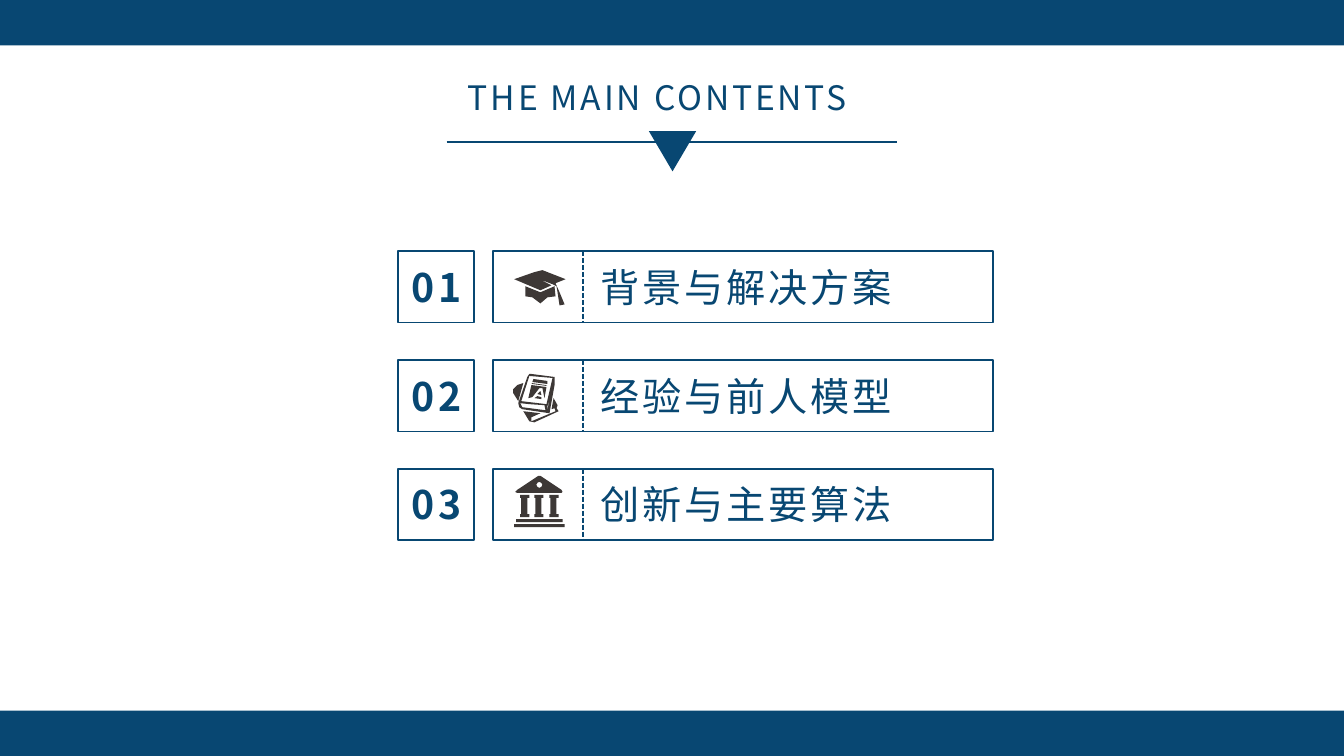
import pptx
import pptx.dml.color
import pptx.enum.dml
import pptx.enum.shapes
import pptx.enum.text
import pptx.oxml
import pptx.oxml.ns
import pptx.util

Inches = pptx.util.Inches
Shape = pptx.enum.shapes.MSO_SHAPE
Align = pptx.enum.text.PP_ALIGN

NAVY = pptx.dml.color.RGBColor(0x08, 0x47, 0x72)
CHARCOAL = pptx.dml.color.RGBColor(0x3D, 0x38, 0x36)
NOTO = "Noto Sans CJK SC"
WIDTH, HEIGHT = 13.33, 7.5
BAND = 0.06 * HEIGHT

# Rows of the agenda
ROW_LEFT, ROW_TOP, ROW_WIDTH, ROW_HEIGHT, ROW_PITCH = 3.95, 2.49, 5.9, 0.71, 1.08


# Icon outlines, in hundredths of an inch from the icon's corner
def rectangle(left, top, right, bottom):
    return [(left, top), (right, top), (right, bottom), (left, bottom)]


def column(left):
    """An I-shaped pillar with a capital and a base."""
    right = left + 9
    return [(left, 26), (right, 26), (right, 29), (right - 2, 29),
            (right - 2, 45), (right, 45), (right, 48), (left, 48),
            (left, 45), (left + 1, 45), (left + 1, 29), (left, 29)]


GRADUATION_CAP = [
    [(20, 21), (28, 19), (51, 28), (41, 32), (45, 41), (50, 53), (45, 54),
     (43, 41), (42, 35), (38, 33), (25, 28), (37, 34), (26, 39), (0, 28)],
    [(11, 35), (11, 45), (18, 46), (26, 52), (33, 46), (41, 45), (40, 35),
     (26, 41)],
]
BOOKS = [
    # Front book, its cover and page edges
    [(13, 17), (15, 14), (17, 14), (40, 17), (40, 25), (35, 53), (8, 49),
     (5, 47), (4, 43)],
    [(15, 16), (7, 41), (32, 44), (38, 18)],
    [(6, 43), (8, 47), (31, 50), (30, 45), (15, 44)],
    [(35, 38), (33, 46), (33, 50)],
    # Title lines and letter panel
    [(19, 19), (18, 22), (33, 24), (33, 21)],
    [(17, 23), (18, 24), (33, 26), (31, 25)],
    [(14, 38), (17, 25), (32, 27), (30, 38), (28, 28), (25, 28), (18, 37)],
    [(26, 31), (23, 34), (27, 35)],
    [(20, 38), (27, 39), (27, 37), (23, 36)],
    # Back book
    [(-1, 29), (-1, 33), (4, 41), (9, 23), (3, 25)],
    [(39, 38), (37, 49), (40, 48), (41, 51), (17, 61), (17, 57), (26, 53),
     (9, 51), (15, 61), (20, 62), (44, 51), (42, 48), (43, 45)],
]
TEMPLE = [
    rectangle(0, 55, 50, 58),
    rectangle(2, 50, 48, 53),
    [(1, 23), (3, 21), (24, 7), (26, 7), (47, 21), (48, 23), (47, 24), (3, 24)],
    [(22, 16), (23, 14), (25, 13), (27, 14), (28, 16), (27, 18), (25, 19),
     (23, 18)],
] + [column(left) for left in (6, 20, 35)]

TOPICS = [
    ("01", "背景与解决方案", NOTO, GRADUATION_CAP),
    ("02", "经验与前人模型", "Calibri", BOOKS),
    ("03", "创新与主要算法", "Calibri", TEMPLE),
]


def add_block(page, kind, left, top, width, height, fill=None):
    """A preset shape: filled, or outlined when no fill is given."""
    block = page.shapes.add_shape(kind, Inches(left), Inches(top),
                                  Inches(width), Inches(height))
    block.shadow.inherit = False
    if fill is None:
        block.fill.background()
        block.line.color.rgb = NAVY
        block.line.width = pptx.util.Pt(1.25)
    else:
        block.fill.solid()
        block.fill.fore_color.rgb = fill
        block.line.fill.background()
    return block


def add_rule(page, start, end, weight):
    rule = page.shapes.add_connector(
        pptx.enum.shapes.MSO_CONNECTOR.STRAIGHT,
        *[Inches(length) for length in start + end])
    rule.line.color.rgb = NAVY
    rule.line.width = pptx.util.Pt(weight)
    rule._element.spPr.append(pptx.oxml.parse_xml(
        "<a:effectLst %s/>" % pptx.oxml.ns.nsdecls("a")))
    return rule


def write(box, text, size, font, spacing, bold=False, align=Align.LEFT):
    """Put one letter-spaced run in a box; spacing is in points."""
    frame = box.text_frame
    frame.word_wrap = True
    frame.auto_size = pptx.enum.text.MSO_AUTO_SIZE.SHAPE_TO_FIT_TEXT
    frame.vertical_anchor = pptx.enum.text.MSO_ANCHOR.TOP
    para = frame.paragraphs[0]
    para.alignment = align
    span = para.add_run()
    span.text = text
    span.font.size = pptx.util.Pt(size)
    span.font.name = font
    span.font.bold = bold
    span.font.color.rgb = NAVY
    properties = span._r.get_or_add_rPr()
    properties.set("spc", str(spacing * 100))
    properties.append(pptx.oxml.parse_xml(
        '<a:ea %s typeface="%s"/>' % (pptx.oxml.ns.nsdecls("a"), NOTO)))


def add_text(page, left, top, width, height, *style, **options):
    box = page.shapes.add_textbox(Inches(left), Inches(top),
                                  Inches(width), Inches(height))
    write(box, *style, **options)


def add_icon(page, outlines, left, top):
    builder = page.shapes.build_freeform(*outlines[0][0], scale=Inches(0.01))
    for index, outline in enumerate(outlines):
        if index:
            builder.move_to(*outline[0])
        builder.add_line_segments(outline[1:], close=True)
    icon = builder.convert_to_shape(Inches(left), Inches(top))
    icon.shadow.inherit = False
    icon.fill.solid()
    icon.fill.fore_color.rgb = CHARCOAL
    icon.line.fill.background()


def add_bands(page):
    for top in (0, HEIGHT - BAND):
        add_block(page, Shape.RECTANGLE, 0, top, WIDTH, BAND, NAVY)


def add_heading(page, left, top, width):
    """Title above a rule with a pointer at its middle."""
    title = page.shapes.title
    title.left, title.top = Inches(left + 0.11), Inches(top)
    title.width, title.height = Inches(width - 0.22), Inches(0.5)
    write(title, "THE MAIN CONTENTS", 24, NOTO, 2, align=Align.JUSTIFY)
    add_rule(page, (left, top + 0.7), (left + width, top + 0.7), 1.5)
    pointer = add_block(page, Shape.ISOSCELES_TRIANGLE,
                        left + width / 2 - 0.23, top + 0.59, 0.47, 0.4, NAVY)
    pointer.rotation = 180


def add_topic(page, left, top, width, height, number, label, font, icon):
    """One agenda row: number box, then icon and label in a wide box."""
    divider, right = left + 1.83, left + width
    add_block(page, Shape.RECTANGLE, left, top, 0.75, height)
    add_block(page, Shape.RECTANGLE, left + 0.94, top, width - 0.94, height)
    add_text(page, left + 0.03, top + 0.07, 0.97, 0.57,
             number, 28, NOTO, 3, bold=True)
    add_text(page, divider + 0.08, top + 0.07, right - divider - 0.09, 0.57,
             label, 28, font, 2)
    rule = add_rule(page, (divider, top), (divider, top + height), 1.25)
    rule.line.dash_style = pptx.enum.dml.MSO_LINE.SQUARE_DOT
    add_icon(page, icon, left + 1.15, top)


def main():
    deck = pptx.Presentation()
    deck.slide_width, deck.slide_height = Inches(WIDTH), Inches(HEIGHT)
    page = deck.slides.add_slide(deck.slide_layouts[5])
    add_bands(page)
    add_heading(page, 4.43, 0.71, 4.47)
    for index, topic in enumerate(TOPICS):
        add_topic(page, ROW_LEFT, ROW_TOP + index * ROW_PITCH,
                  ROW_WIDTH, ROW_HEIGHT, *topic)
    deck.save("out.pptx")


if __name__ == "__main__":
    main()
